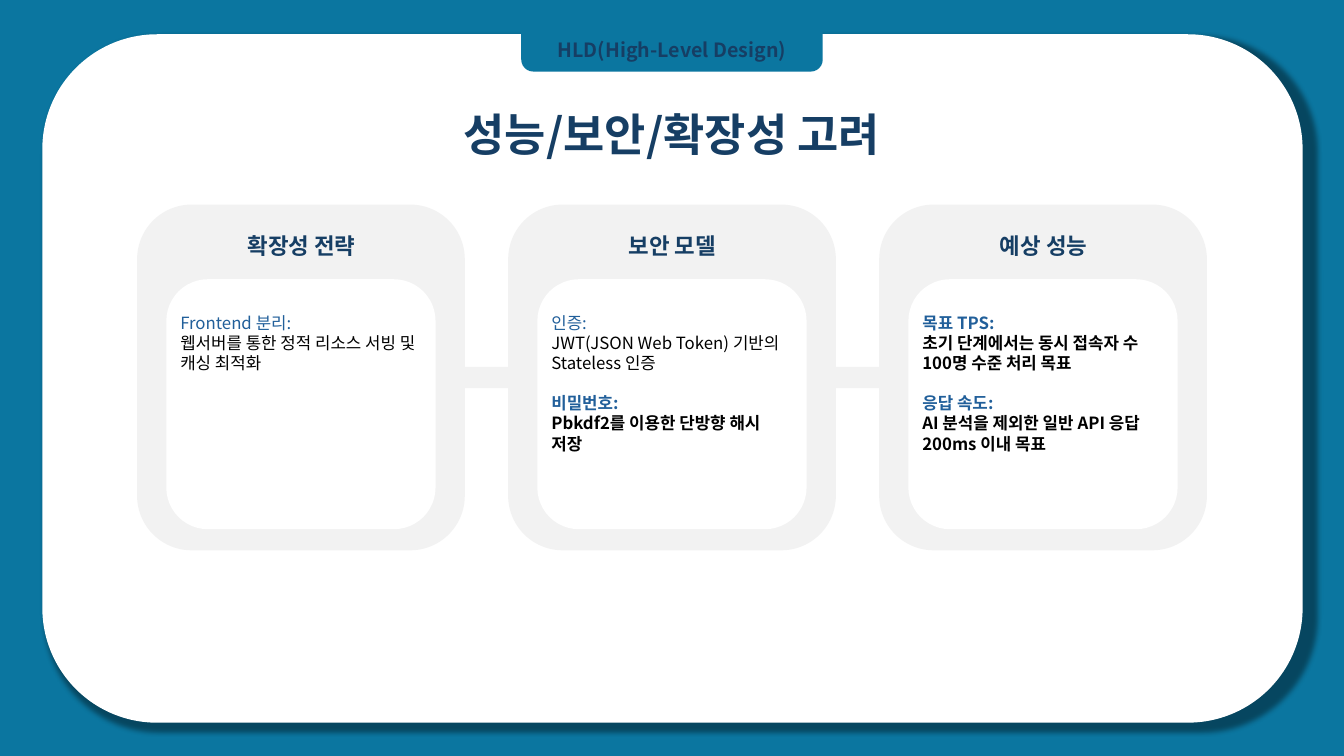
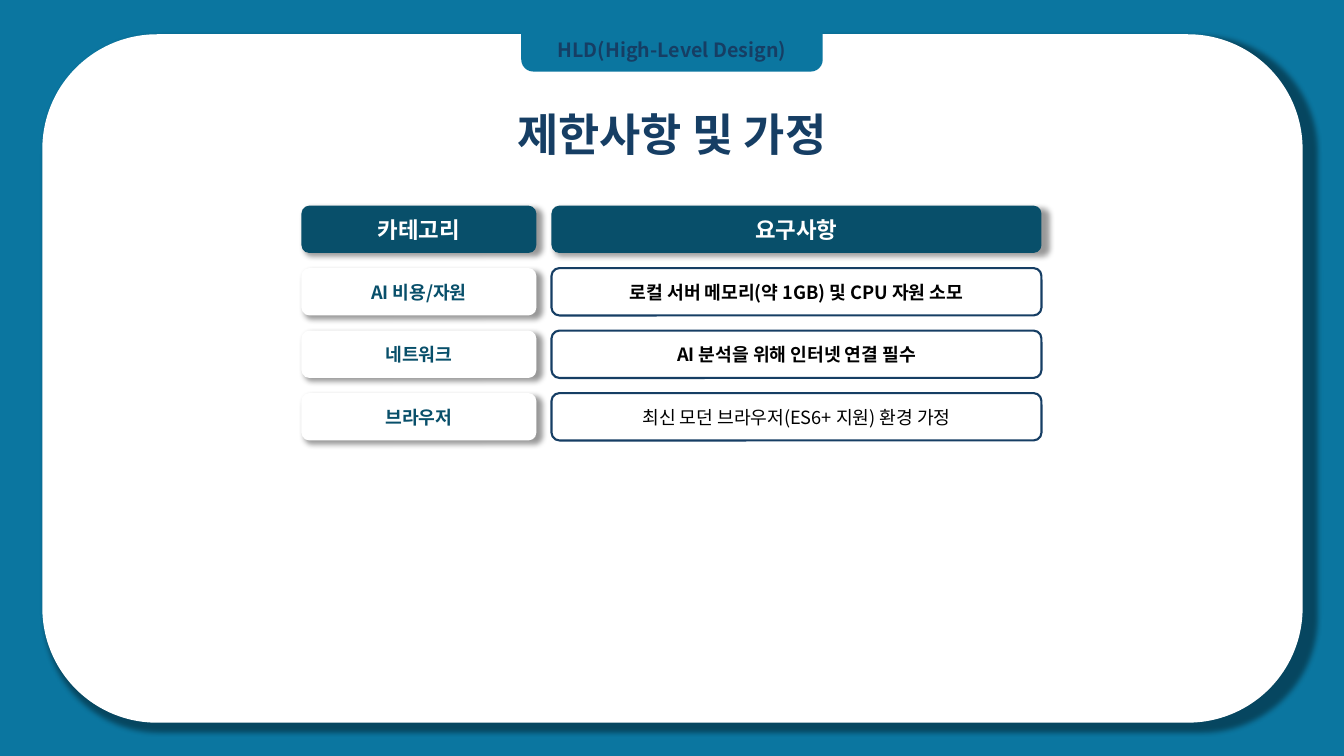
"""Build two high-level design slides: design considerations and constraints."""
from lxml import etree
from pptx import Presentation, util as u
from pptx.dml.color import RGBColor
from pptx.enum import shapes, text
from pptx.oxml.ns import qn

W, H = 13.33, 7.5
FONT = "Noto Sans CJK KR"
C = {"blue": "0B76A0", "teal": "084F6A", "navy": "163E64", "label": "215F9A",
     "gray": "F2F2F2", "white": "FFFFFF", "black": "000000"}
ROUND = shapes.MSO_SHAPE.ROUNDED_RECTANGLE
CENTER, LEFT = text.PP_ALIGN.CENTER, text.PP_ALIGN.LEFT

SECTION = "HLD(High-Level Design)"
CARDS_TITLE = "성능/보안/확장성 고려"
CARDS = [
    ("확장성 전략", [
        ("Frontend 분리:", "웹서버를 통한 정적 리소스 서빙 및 캐싱 최적화", False)]),
    ("보안 모델", [
        ("인증:", "JWT(JSON Web Token) 기반의 Stateless 인증", False),
        ("비밀번호:", "Pbkdf2를 이용한 단방향 해시 저장", True)]),
    ("예상 성능", [
        ("목표 TPS:", "초기 단계에서는 동시 접속자 수 100명 수준 처리 목표", True),
        ("응답 속도:", "AI 분석을 제외한 일반 API 응답 200ms 이내 목표", True)]),
]
LIMITS_TITLE = "제한사항 및 가정"
LIMITS_HEAD = ("카테고리", "요구사항")
LIMITS = [
    ("AI 비용/자원", "로컬 서버 메모리(약 1GB) 및 CPU 자원 소모", True),
    ("네트워크", "AI 분석을 위해 인터넷 연결 필수", True),
    ("브라우저", "최신 모던 브라우저(ES6+ 지원) 환경 가정", False),
]


def rgb(name):
    return RGBColor.from_string(C[name])


def add_text(p, words, size, color, bold=True, align=CENTER):
    p.alignment = align
    r = p.add_run()
    r.text = words
    f = r.font
    f.name, f.size, f.bold = FONT, u.Pt(size), bold
    f.color.rgb = rgb(color)
    etree.SubElement(r._r.get_or_add_rPr(), qn("a:ea"), typeface=FONT)


def add_shadow(sp):
    effects = sp._element.spPr.find(qn("a:effectLst"))
    shadow = etree.SubElement(
        effects, qn("a:outerShdw"), blurRad=str(u.Pt(4)), dist=str(u.Pt(3)),
        dir="2700000", sx="101000", sy="101000", algn="tl", rotWithShape="0")
    color = etree.SubElement(shadow, qn("a:srgbClr"), val=C["black"])
    etree.SubElement(color, qn("a:alpha"), val="40000")


def add_box(s, kind, x, y, w, h, fill, line=None, shadow=False):
    sp = s.shapes.add_shape(kind, *map(u.Inches, (x, y, w, h)))
    sp.shadow.inherit = False
    sp.fill.solid()
    sp.fill.fore_color.rgb = rgb(fill)
    if line:
        sp.line.color.rgb = rgb(line)
        sp.line.width = u.Pt(1.5)
    else:
        sp.line.fill.background()
    if shadow:
        add_shadow(sp)
    return sp


def add_textbox(s, x, y, w, h):
    tf = s.shapes.add_textbox(*map(u.Inches, (x, y, w, h))).text_frame
    tf.word_wrap = True
    tf.auto_size = text.MSO_AUTO_SIZE.SHAPE_TO_FIT_TEXT
    return tf


def add_slide(prs, title):
    s = prs.slides.add_slide(prs.slide_layouts[6])
    s.background.fill.solid()
    s.background.fill.fore_color.rgb = rgb("blue")
    add_box(s, ROUND, 0.42, 0.34, 12.5, 6.83, "white", shadow=True)
    tab = add_box(s, shapes.MSO_SHAPE.ROUND_2_SAME_RECTANGLE,
                  5.17, 0, 2.99, 0.71, "blue")
    tab.rotation = 180
    for words, size, y, w, h in ((SECTION, 14, 0.33, 2.74, 0.34),
                                 (title, 32, 1.01, 4.83, 0.64)):
        tf = add_textbox(s, (W - w) / 2, y, w, h)
        add_text(tf.paragraphs[0], words, size, "navy")
    return s


def add_cards(s):
    left, top, w, h, gap = 1.36, 2.03, 3.25, 3.43, 0.43
    for i, (heading, items) in enumerate(CARDS):
        x = left + i * (w + gap)
        add_box(s, ROUND, x, top, w, h, "gray")
        add_box(s, ROUND, x + 0.29, top + 0.74, 2.67, 2.48, "white")
        if i:
            add_box(s, shapes.MSO_SHAPE.RECTANGLE, x - gap, 3.64, gap, 0.21, "gray")
        tf = add_textbox(s, x + 0.17, top + 0.22, 2.92, 0.37)
        add_text(tf.paragraphs[0], heading, 16, "navy")
        tf = add_textbox(s, x + 0.33, top + 1.02, 2.6, 0.8 * len(items) - 0.09)
        for n, (label, detail, bold) in enumerate(items):
            p = tf.add_paragraph() if n else tf.paragraphs[0]
            if n:
                p.space_before = u.Pt(14.4)
            add_text(p, label, 12, "label", bold, LEFT)
            add_text(tf.add_paragraph(), detail, 12, "black", bold, LEFT)


def add_limits(s):
    top, h, pitch = 2.04, 0.47, 0.62
    columns = ((2.99, 2.33), (5.47, 4.86))
    rows = [[(words, 16, "white", True, "teal", None, True) for words in LIMITS_HEAD]]
    rows += [[(category, 13, "teal", True, "white", None, True),
              (need, 13, "black", bold, "white", "navy", False)]
             for category, need, bold in LIMITS]
    for i, row in enumerate(rows):
        for (x, w), (words, size, color, bold, fill, line, shadow) in zip(columns, row):
            sp = add_box(s, ROUND, x, top + i * pitch, w, h, fill, line, shadow)
            tf = sp.text_frame
            tf.vertical_anchor = text.MSO_ANCHOR.MIDDLE
            add_text(tf.paragraphs[0], words, size, color, bold)


def main():
    prs = Presentation()
    prs.slide_width, prs.slide_height = u.Inches(W), u.Inches(H)
    add_cards(add_slide(prs, CARDS_TITLE))
    add_limits(add_slide(prs, LIMITS_TITLE))
    prs.save("out.pptx")


if __name__ == "__main__":
    main()
